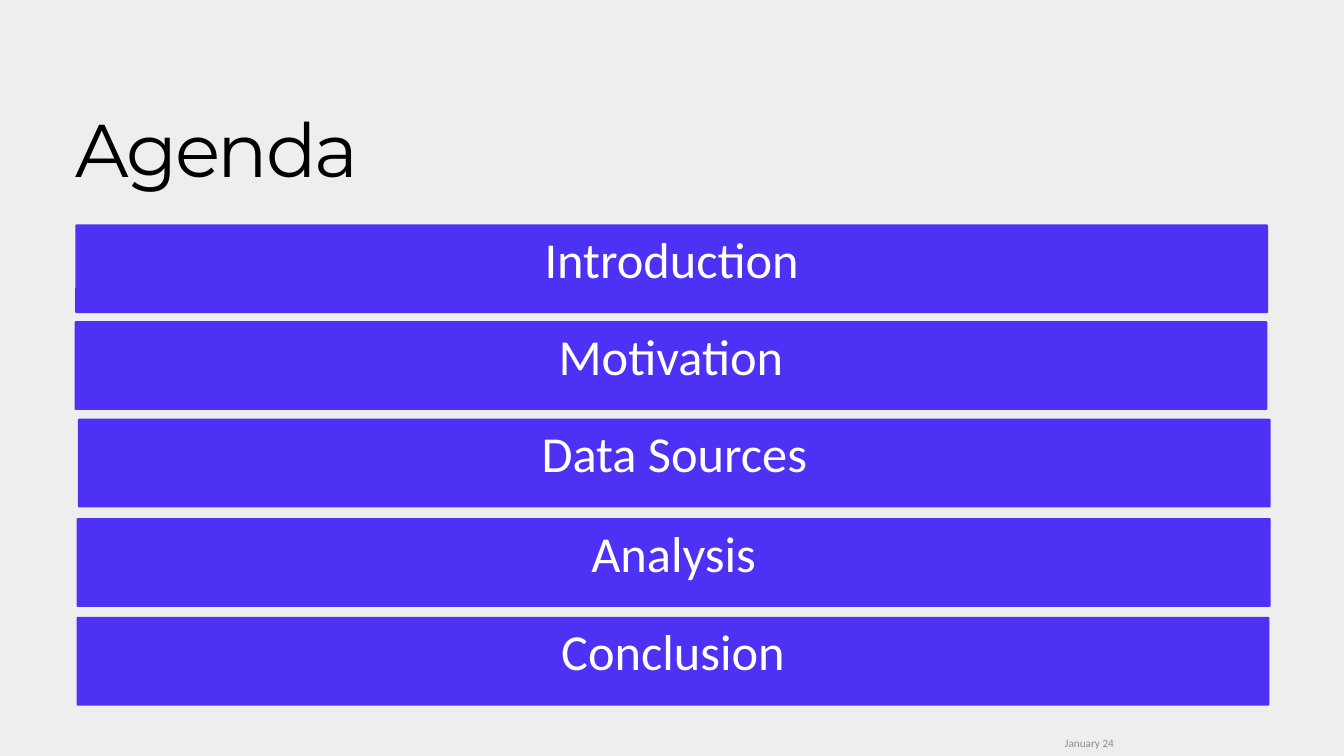
"""Build an agenda slide with five stacked section bars."""
from pptx import Presentation
from pptx.dml.color import RGBColor
from pptx.enum.shapes import MSO_SHAPE
from pptx.enum.text import MSO_ANCHOR, PP_ALIGN
from pptx.util import Inches, Pt

COLORS = {"background": "EEEEEE", "bar": "4D31F5", "bar_text": "FFFFFF",
          "title": "000000", "date": "8C8C8C"}
BAR_HEIGHT = 1.32
CORNER_RADIUS = 0.02


def style_text(paragraph, text, font_name, size, color):
    paragraph.text = text
    paragraph.font.name = font_name
    paragraph.font.size = Pt(size)
    paragraph.font.color.rgb = RGBColor.from_string(COLORS[color])


presentation = Presentation()
presentation.slide_width = Inches(20)
presentation.slide_height = Inches(11.25)
slide = presentation.slides.add_slide(presentation.slide_layouts[6])
slide.background.fill.solid()
slide.background.fill.fore_color.rgb = RGBColor.from_string(COLORS["background"])

sections = [
    ("Introduction", 1.12, 3.34, 17.75),
    ("Motivation", 1.11, 4.78, 17.75),
    ("Data Sources", 1.16, 6.23, 17.75),
    ("Analysis", 1.14, 7.71, 17.77),
    ("Conclusion", 1.14, 9.18, 17.75),
]
for section, left, top, width in sections:
    bar = slide.shapes.add_shape(MSO_SHAPE.ROUNDED_RECTANGLE, Inches(left), Inches(top),
                                 Inches(width), Inches(BAR_HEIGHT))
    bar.adjustments[0] = CORNER_RADIUS / BAR_HEIGHT
    bar.shadow.inherit = False
    bar.fill.solid()
    bar.fill.fore_color.rgb = RGBColor.from_string(COLORS["bar"])
    bar.line.fill.background()
    bar.text_frame.vertical_anchor = MSO_ANCHOR.TOP
    paragraph = bar.text_frame.paragraphs[0]
    paragraph.alignment = PP_ALIGN.CENTER
    style_text(paragraph, section, "Calibri", 54, "bar_text")

title = slide.shapes.add_textbox(Inches(1.12), Inches(1.53), Inches(17.75), Inches(1.34))
frame = title.text_frame
frame.word_wrap = True
frame.margin_left = frame.margin_top = frame.margin_right = frame.margin_bottom = 0
paragraph = frame.paragraphs[0]
paragraph.line_spacing = Pt(96)
style_text(paragraph, "Agenda", "Montserrat", 80, "title")
paragraph.runs[0].font._element.set("spc", "-250")

date = slide.shapes.add_textbox(Inches(15.75), Inches(10.85), Inches(2.33), Inches(0.4))
date.text_frame.word_wrap = True
date.text_frame.vertical_anchor = MSO_ANCHOR.MIDDLE
style_text(date.text_frame.paragraphs[0], "January 24", "Calibri", 12, "date")

presentation.save("out.pptx")
